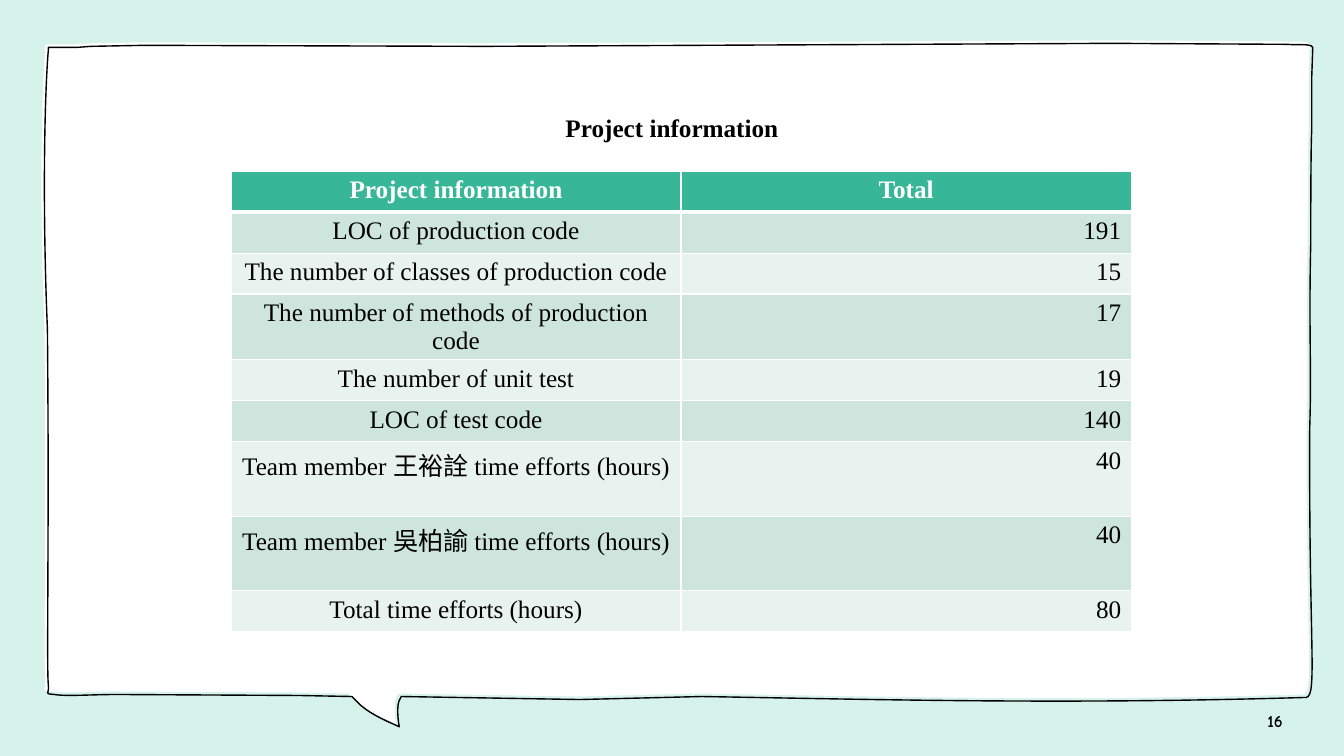
"""Build the project information slide: a speech bubble framing a table of totals."""
from dataclasses import dataclass
from typing import Optional

from lxml.etree import SubElement
from pptx import Presentation
from pptx.dml.color import RGBColor
from pptx.enum.text import MSO_ANCHOR, PP_ALIGN
from pptx.oxml.ns import qn
from pptx.util import Pt

EMU_PER_PX = 9144
COLORS = {
    "backdrop": "D5F2EB",
    "paper": "FFFFFF",
    "ink": "000000",
    "header": "38B698",
    "band_dark": "CEE5DD",
    "band_light": "E8F3EF",
}
SERIF = "Times New Roman"

BUBBLE_START = (1103, 43)
BUBBLE_SEGMENTS = [
    (1276, 44),
    (1289, 45, 1300, 43, 1302, 47),
    (1301, 77),
    (1301, 94, 1301, 113, 1301, 130),
    (1300, 142, 1300, 235, 1300, 242),
    (1298, 330, 1301, 365, 1299, 425),
    (1298, 656, 1308, 695, 1293, 692),
    (1056, 699, 872, 694, 696, 691),
    (575, 694),
    (398, 691),
    (396, 695),
    (394, 699, 394, 710, 396, 721),
    (385, 716, 370, 710, 358, 700),
    (349, 691),
    (296, 690),
    (117, 689),
    (90, 689, 66, 691, 54, 689),
    (43, 688, 49, 689, 48, 680),
    (46, 665, 49, 522, 47, 326),
    (42, 207, 44, 96, 48, 49),
    (48, 48, 48, 48, 48, 47),
    (54, 47),
    (77, 47),
    (90, 46),
    (143, 45),
    (480, 46),
    BUBBLE_START,
]


@dataclass(frozen=True)
class Bubble:
    offset: int
    fill: Optional[str]
    line: Optional[str]


@dataclass(frozen=True)
class Label:
    text: str
    left: int
    top: int
    width: int
    height: int
    font: str
    size: int
    align: PP_ALIGN
    anchor: MSO_ANCHOR


BUBBLES = [Bubble(-3, "paper", None), Bubble(0, None, "ink")]
LABELS = [
    Label("16", 1225, 695, 57, 40, "Comic Neue", 12, PP_ALIGN.RIGHT, MSO_ANCHOR.MIDDLE),
    Label("Project information", 551, 107, 300, 40, SERIF, 18, PP_ALIGN.LEFT, MSO_ANCHOR.TOP),
]
PROJECT_ROWS = [
    ("Project information", "Total"),
    ("LOC of production code", "191"),
    ("The number of classes of production code", "15"),
    ("The number of methods of production code", "17"),
    ("The number of unit test", "19"),
    ("LOC of test code", "140"),
    ("Team member 王裕詮 time efforts (hours)", "40"),
    ("Team member 吳柏諭 time efforts (hours)", "40"),
    ("Total time efforts (hours)", "80"),
]


def px(length: int) -> int:
    return length * EMU_PER_PX


def rgb(name: str) -> RGBColor:
    return RGBColor.from_string(COLORS[name])


def bend_segments(outline, offset: int) -> None:
    straight_steps = list(outline._element.iter(qn("a:lnTo")))
    for step, segment in zip(straight_steps, BUBBLE_SEGMENTS):
        if len(segment) == 2:
            continue
        step.tag = qn("a:cubicBezTo")
        for point in list(step):
            step.remove(point)
        for x, y in zip(segment[::2], segment[1::2]):
            SubElement(
                step, qn("a:pt"),
                x=str(px(x + offset) - outline.left), y=str(px(y + offset) - outline.top),
            )


def draw_bubble(slide, bubble: Bubble) -> None:
    first, *rest = [
        (px(x + bubble.offset), px(y + bubble.offset))
        for x, y in [BUBBLE_START] + [segment[-2:] for segment in BUBBLE_SEGMENTS]
    ]
    builder = slide.shapes.build_freeform(*first)
    builder.add_line_segments(rest, close=True)
    outline = builder.convert_to_shape()
    bend_segments(outline, bubble.offset)
    outline.shadow.inherit = False
    if bubble.fill:
        outline.fill.solid()
        outline.fill.fore_color.rgb = rgb(bubble.fill)
    else:
        outline.fill.background()
    if bubble.line:
        outline.line.color.rgb = rgb(bubble.line)
        outline.line.width = Pt(1)
    else:
        outline.line.fill.background()


def style_paragraph(paragraph, font: str, size: int, color: str, bold: bool, align: PP_ALIGN) -> None:
    paragraph.alignment = align
    for run in paragraph.runs:
        run.font.name = font
        run.font.size = Pt(size)
        run.font.bold = bold
        run.font.color.rgb = rgb(color)


def draw_label(slide, label: Label) -> None:
    box = slide.shapes.add_textbox(px(label.left), px(label.top), px(label.width), px(label.height))
    frame = box.text_frame
    frame.word_wrap = True
    frame.vertical_anchor = label.anchor
    frame.text = label.text
    style_paragraph(frame.paragraphs[0], label.font, label.size, "ink", True, label.align)


def draw_borders(cell, top: int, bottom: int) -> None:
    properties = cell._tc.get_or_add_tcPr()
    for side, points in (("L", 1), ("R", 1), ("T", top), ("B", bottom)):
        border = SubElement(properties, qn(f"a:ln{side}"), w=str(Pt(points)))
        fill = SubElement(border, qn("a:solidFill"))
        SubElement(fill, qn("a:srgbClr"), val=COLORS["paper"])


def draw_project_table(slide) -> None:
    table = slide.shapes.add_table(len(PROJECT_ROWS), 2, px(229), px(170), px(893), px(365)).table
    for row_index, texts in enumerate(PROJECT_ROWS):
        is_header = row_index == 0
        band = "header" if is_header else "band_dark" if row_index % 2 else "band_light"
        for column_index, text in enumerate(texts):
            cell = table.cell(row_index, column_index)
            draw_borders(cell, 3 if row_index == 1 else 1, 3 if is_header else 1)
            cell.fill.solid()
            cell.fill.fore_color.rgb = rgb(band)
            cell.text_frame.text = text
            centred = is_header or column_index == 0
            style_paragraph(
                cell.text_frame.paragraphs[0], SERIF, 18, "paper" if is_header else "ink", is_header,
                PP_ALIGN.CENTER if centred else PP_ALIGN.RIGHT,
            )


def main() -> None:
    deck = Presentation()
    deck.slide_width, deck.slide_height = px(1333), px(750)
    slide = deck.slides.add_slide(deck.slide_layouts[6])
    slide.background.fill.solid()
    slide.background.fill.fore_color.rgb = rgb("backdrop")
    for bubble in BUBBLES:
        draw_bubble(slide, bubble)
    draw_project_table(slide)
    for label in LABELS:
        draw_label(slide, label)
    deck.save("out.pptx")


if __name__ == "__main__":
    main()
